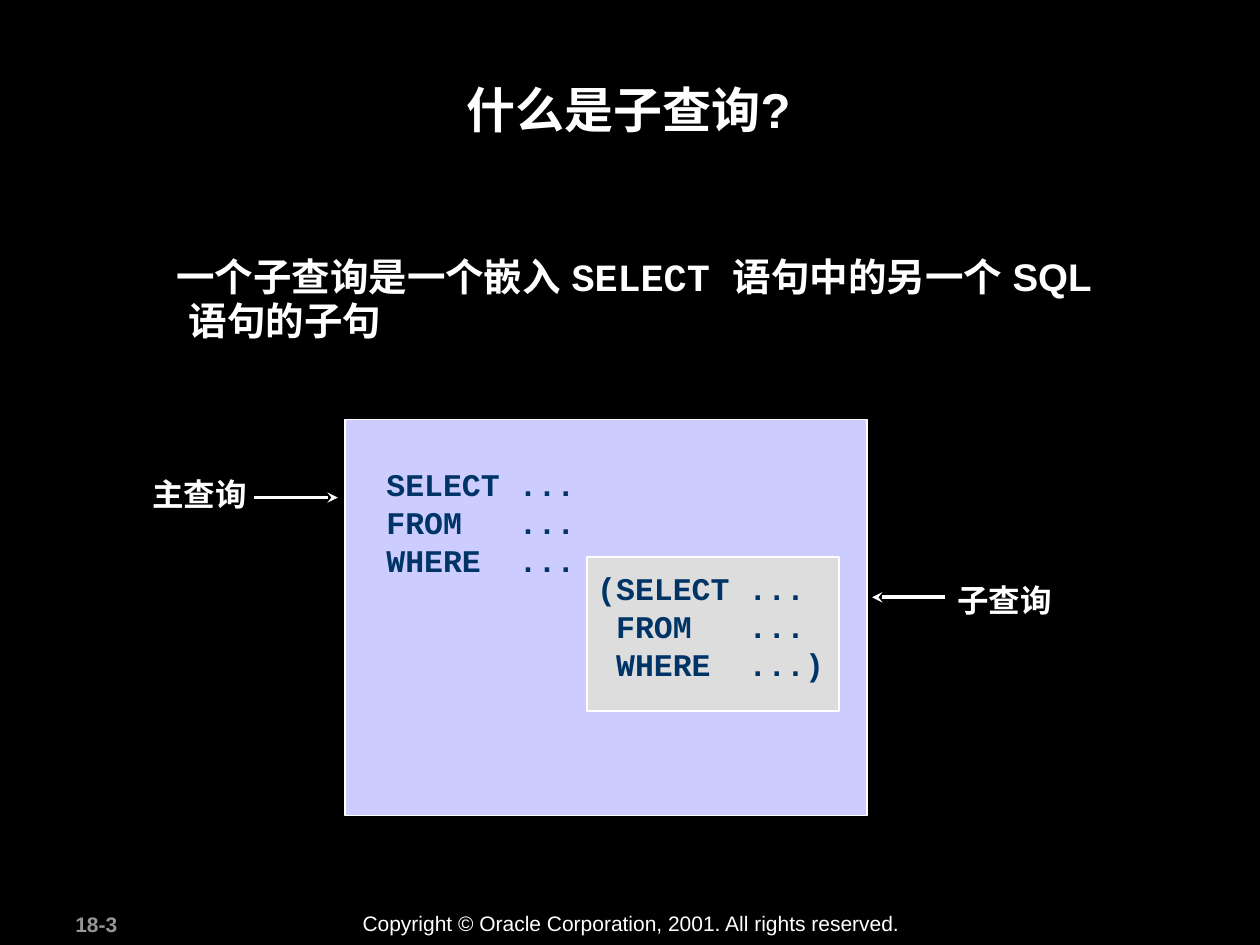
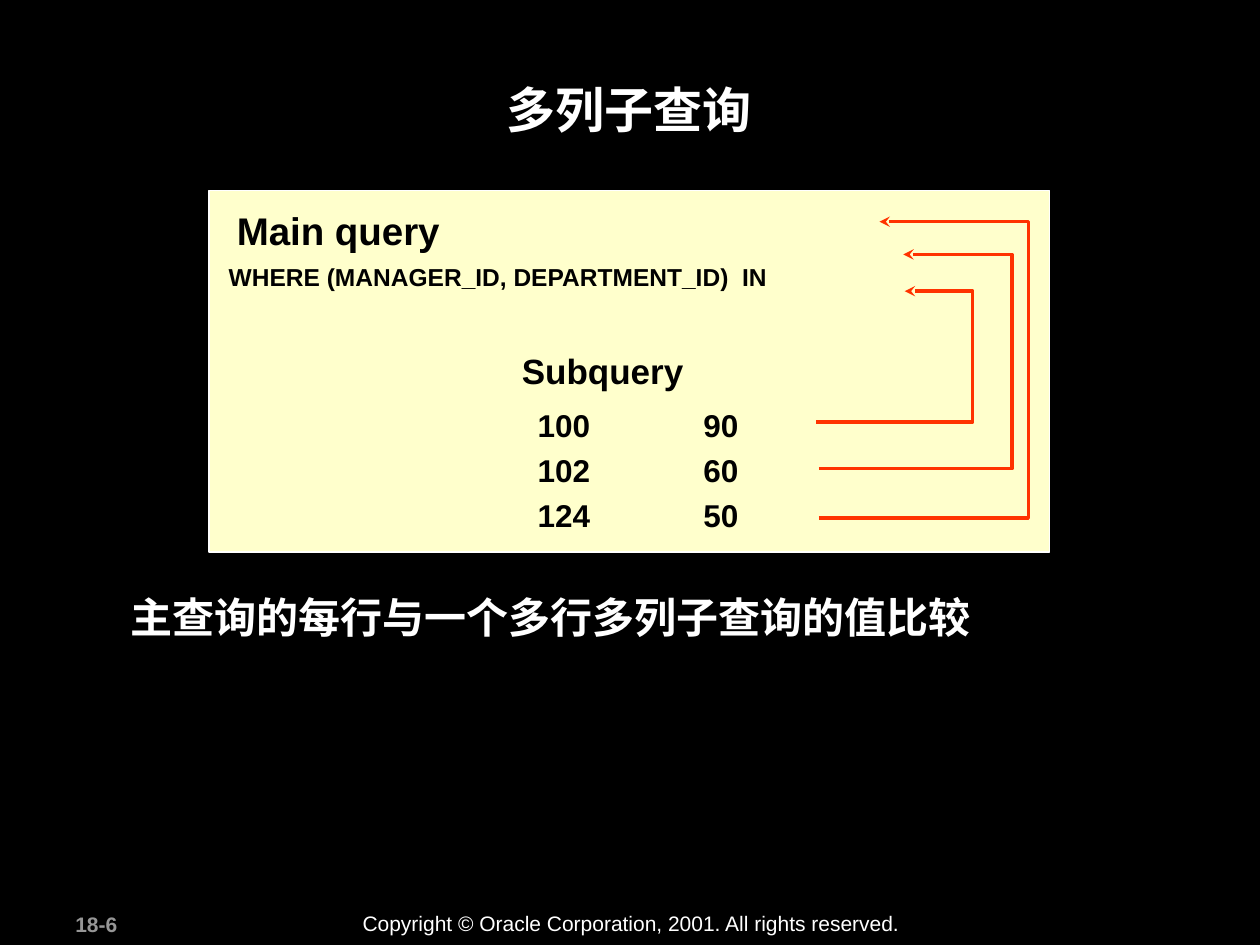
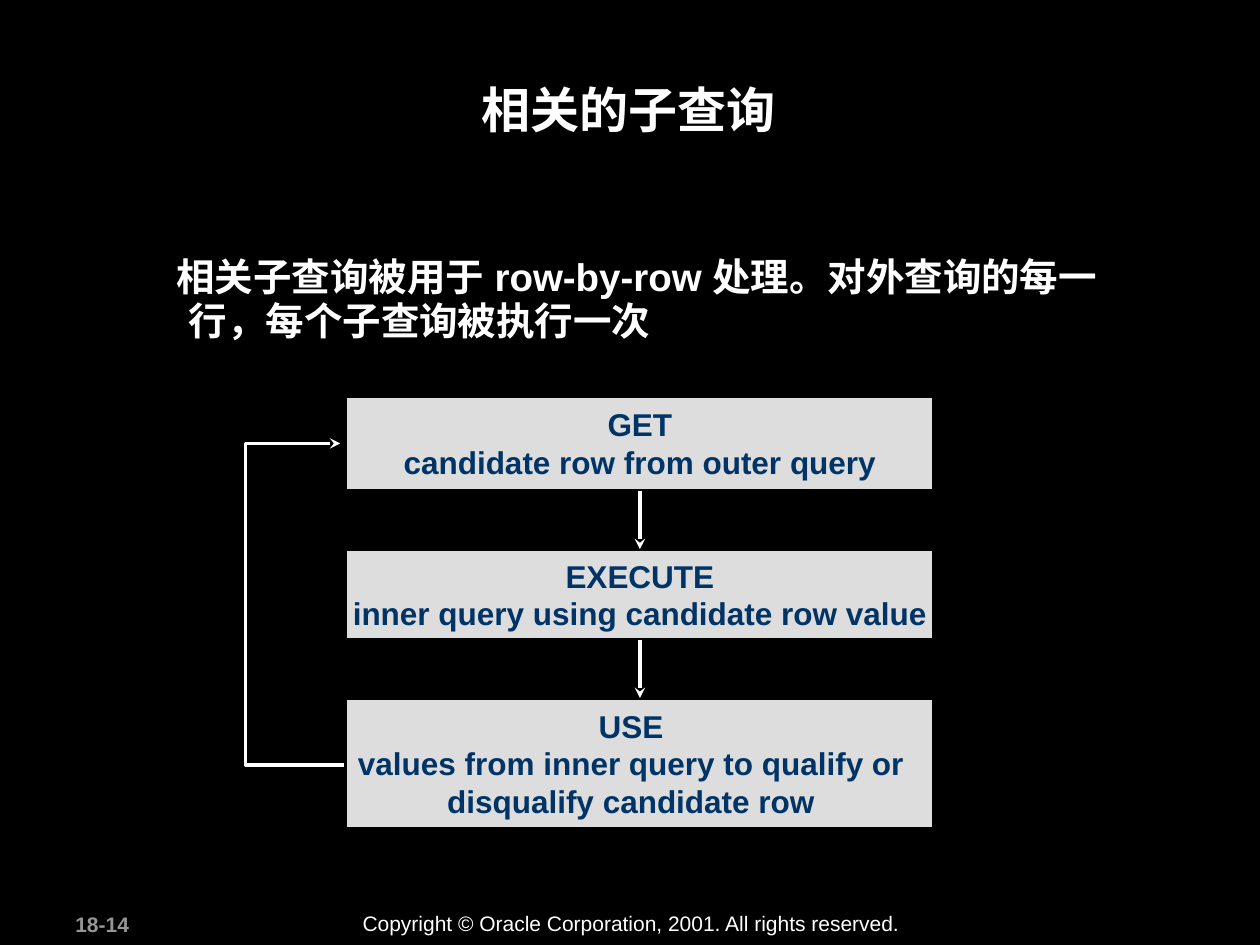
from lxml import etree
from pptx import Presentation
from pptx.dml.color import RGBColor
from pptx.enum.shapes import MSO_CONNECTOR, MSO_SHAPE
from pptx.enum.text import MSO_ANCHOR, PP_ALIGN
from pptx.oxml.ns import qn
from pptx.util import Cm, Pt

RECT = MSO_SHAPE.RECTANGLE
LINE = MSO_CONNECTOR.STRAIGHT
LEFT, MID = PP_ALIGN.LEFT, PP_ALIGN.CENTER
CENTER = MSO_ANCHOR.MIDDLE

SANS, MONO = "Arial", "Courier New"
HEX = {
    "black": "000000", "white": "FFFFFF", "gray": "969696", "navy": "003366",
    "lilac": "CCCCFF", "silver": "DDDDDD", "cream": "FFFFCC", "red": "FF3300",
}
RIGHTS = "Copyright © Oracle Corporation, 2001. All rights reserved."

INTRO = [("一个子查询是一个嵌入 ", SANS), ("SELECT ", MONO),
         ("语句中的另一个 SQL 语句的子句", SANS)]
OUTER = ["SELECT ...", "FROM   ...", "WHERE  ..."]
INNER = ["(SELECT ...", " FROM   ...", " WHERE  ...)"]
LABELS = [("主查询", 2.82, 9.45), ("子查询", 19.05, 11.58)]
POINTERS = [(5.13, 6.81, 10.03), (19.05, 17.58, 12.04)]

HEADS = [
    ("Main query", (4.52, 3.86, 4.6, 1.37), 22),
    ("WHERE (MANAGER_ID, DEPARTMENT_ID)  IN", (4.34, 5.03, 11.4, 0.97), 14),
    ("Subquery", (10.26, 6.76, 3.78, 1.27), 20),
]
PAIRS = [(100, 90), (102, 60), (124, 50)]
MATCHES = [
    (16.46, 8.51, 19.61, 5.87, 18.24),
    (16.51, 9.45, 20.4, 5.13, 18.21),
    (16.51, 10.44, 20.73, 4.47, 17.73),
]
NOTE = "主查询的每行与一个多行多列子查询的值比较"

USAGE = [("相关子查询被用于 row-by-row 处理。对外查询的每一行，每个子查询被执行一次", SANS)]
STEPS = [
    (["GET", "candidate row from outer query"], 7.98, 1.91, 0),
    (["EXECUTE", "inner query using candidate row value"], 11.07, 1.83, 0),
    (["USE", "values from inner query to qualify or disqualify candidate row"],
     14.07, 2.64, 0.36),
]
LOOP = (7.04, 15.42, 4.95, 8.94, 6.86)


def color(name):
    return RGBColor.from_string(HEX[name])


def style(para, size, tint, bold, face, align, lead):
    para.alignment = align
    para.line_spacing = Pt(round(size * 1.2 * lead, 1))
    font = para.font
    font.size, font.bold, font.name = Pt(size), bold, face
    font.color.rgb = color(tint)
    props = para._p.pPr.find(qn("a:defRPr"))
    etree.SubElement(props, qn("a:ea")).set("typeface", SANS)


def write(frame, lines, size, tint="white", bold=True, face=SANS,
          align=LEFT, lead=1):
    for i, line in enumerate(lines):
        para = frame.paragraphs[0] if i == 0 else frame.add_paragraph()
        para.text = line
        style(para, size, tint, bold, face, align, lead)


def text(slide, spot, lines, size, wrap=True, **look):
    frame = slide.shapes.add_textbox(*map(Cm, spot)).text_frame
    frame.word_wrap = wrap
    write(frame, lines, size, **look)
    return frame


def block(slide, spot, fill, edge="white", width=1):
    shape = slide.shapes.add_shape(RECT, *map(Cm, spot))
    shape.shadow.inherit = False
    shape.fill.solid()
    shape.fill.fore_color.rgb = color(fill)
    shape.line.color.rgb = color(edge)
    shape.line.width = Pt(width)
    return shape


def point(shape, tint="white"):
    shape.line.color.rgb = color(tint)
    shape.line.width = Pt(2)
    line = shape.line._get_or_add_ln()
    etree.SubElement(line, qn("a:tailEnd")).set("type", "stealth")


def arrow(slide, x1, y1, x2, y2):
    link = slide.shapes.add_connector(LINE, *map(Cm, (x1, y1, x2, y2)))
    point(link)
    etree.SubElement(link._element.spPr, qn("a:effectLst"))
    return link


def elbow(slide, bend, tint):
    start, low, side, high, end = map(Cm, bend)
    pen = slide.shapes.build_freeform(start, low)
    pen.add_line_segments([(side, low), (side, high), (end, high)], close=False)
    shape = pen.convert_to_shape()
    shape.shadow.inherit = False
    shape.fill.background()
    point(shape, tint)


def body(slide, runs):
    frame = text(slide, (2.44, 5.03, 20.52, 2.03), [""], 22, lead=0.95)
    para = frame.paragraphs[0]
    props = para._p.pPr
    props.set("marL", str(Cm(1.12)))
    props.set("indent", str(Cm(-0.25)))
    for words, face in runs:
        run = para.add_run()
        run.text = words
        if face != SANS:
            run.font.name = face


def start(deck, title, number):
    slide = deck.slides.add_slide(deck.slide_layouts[6])
    text(slide, (1.27, 18.26, 2.67, 0.76), [number], 12, tint="gray")
    text(slide, (7.06, 18.24, 11.38, 0.76), [RIGHTS], 12, wrap=False, bold=False)
    text(slide, (2.39, 1.47, 20.57, 2.44), [title], 28, align=MID)
    return slide


def nested(deck):
    slide = start(deck, "什么是子查询?", "18-3")
    body(slide, INTRO)
    code = {"wrap": False, "tint": "navy", "face": MONO}
    block(slide, (6.96, 8.46, 10.52, 7.98), "lilac")
    text(slide, (7.54, 9.25, 4.7, 2.54), OUTER, 18, **code)
    block(slide, (11.84, 11.23, 5.08, 3.1), "silver")
    text(slide, (11.79, 11.35, 5.08, 2.54), INNER, 18, **code)
    for label, x, y in LABELS:
        text(slide, (x, y, 2.41, 1.02), [label], 18, wrap=False)
    for x1, x2, y in POINTERS:
        arrow(slide, x1, y, x2, y)


def columns(deck):
    slide = start(deck, "多列子查询", "18-6")
    block(slide, (4.22, 3.84, 16.94, 7.29), "cream")
    for head, spot, size in HEADS:
        text(slide, spot, [head], size, wrap=False, tint="black", align=MID, lead=1.2)
    frame = text(slide, (10.59, 7.9, 6.38, 3), [f"{a}\t{b}" for a, b in PAIRS],
                 18, tint="black", lead=1.2)
    for para in frame.paragraphs:
        tabs = etree.Element(qn("a:tabLst"))
        etree.SubElement(tabs, qn("a:tab"), pos=str(Cm(3.34)), algn="l")
        para._p.pPr.find(qn("a:defRPr")).addprevious(tabs)
    for bend in MATCHES:
        elbow(slide, bend, "red")
    text(slide, (2.39, 11.84, 20.52, 1.22), [NOTE], 24, lead=0.95)


def related(deck):
    slide = start(deck, "相关的子查询", "18-14")
    body(slide, USAGE)
    elbow(slide, LOOP, "white")
    boxes = []
    for lines, y, high, inset in STEPS:
        box = block(slide, (6.97, y, 11.86, high), "silver", "black", 2)
        frame = box.text_frame
        frame.word_wrap = True
        frame.vertical_anchor = CENTER
        frame.margin_left, frame.margin_right = 0, Cm(inset)
        write(frame, lines, 18, tint="navy", align=MID)
        boxes.append(box)
    for upper, lower in zip(boxes, boxes[1:]):
        link = arrow(slide, 0, 0, 0, 0)
        link.begin_connect(upper, 2)
        link.end_connect(lower, 0)


def main():
    deck = Presentation()
    deck.slide_width, deck.slide_height = Cm(25.4), Cm(19.05)
    back = deck.slide_master.background.fill
    back.solid()
    back.fore_color.rgb = color("black")
    nested(deck)
    columns(deck)
    related(deck)
    deck.save("out.pptx")


if __name__ == "__main__":
    main()
